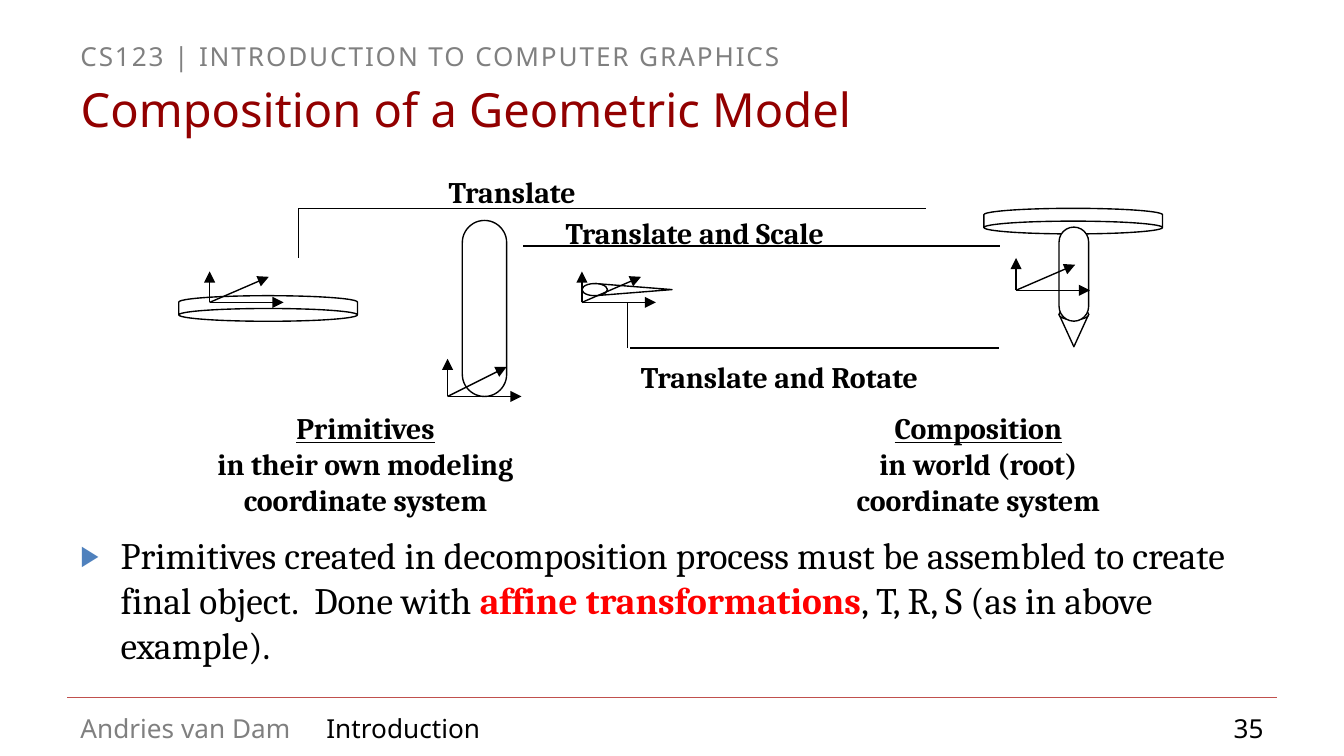
from lxml import etree
from pptx import Presentation
from pptx.dml.color import RGBColor
from pptx.enum import shapes as kinds, text as txt
from pptx.oxml import parse_xml
from pptx.oxml.ns import nsdecls, qn
from pptx.util import Inches, Pt

BLACK = RGBColor(0, 0, 0)
WHITE = RGBColor(255, 255, 255)
GRAY = RGBColor(0x80, 0x80, 0x80)
MAROON = RGBColor(0x92, 0, 0)
RED = RGBColor(255, 0, 0)
ROSE = RGBColor(0xC0, 0x50, 0x4D)
SANS, SERIF = "Noto Sans", "Cambria"
LEFT, CENTER, RIGHT = txt.PP_ALIGN.LEFT, txt.PP_ALIGN.CENTER, txt.PP_ALIGN.RIGHT
KIND = kinds.MSO_SHAPE

deck = Presentation()
deck.slide_width = Inches(10)
deck.slide_height = Inches(10 * 9 / 16)
slide = deck.slides.add_slide(deck.slide_layouts[5])
items = slide.shapes


def draw_line(start, end, color=BLACK, arrow=False):
    line = items.add_connector(kinds.MSO_CONNECTOR.STRAIGHT,
                               *[Inches(v) for v in (*start, *end)])
    line.line.color.rgb = color
    line.line.width = Pt(0.75)
    if arrow:
        etree.SubElement(line.line._get_or_add_ln(), qn("a:tailEnd"), type="triangle")
    etree.SubElement(line._element.spPr, qn("a:effectLst"))


def add_run(para, words, size, name, color=BLACK, bold=False):
    run = para.add_run()
    run.text = words
    font = run.font
    font.size, font.name, font.bold = Pt(size), name, bold
    font.color.rgb = color
    return run


# Title
title = items.title
title.left, title.top, title.width, title.height = map(Inches, (0.5, 0.56, 9, 0.5))
frame = title.text_frame
frame.vertical_anchor = txt.MSO_ANCHOR.MIDDLE
frame.auto_size = txt.MSO_AUTO_SIZE.NONE
frame.paragraphs[0].alignment = LEFT
add_run(frame.paragraphs[0], "Composition of a Geometric Model", 25.2, SANS, MAROON)

# Header and footer
draw_line((0.5, 5.19), (9.5, 5.19), ROSE)
for words, left, top, width, color, align in (
    ("CS123 | INTRODUCTION TO COMPUTER GRAPHICS", 0.5, 0.25, 9, GRAY, LEFT),
    ("Andries van Dam", 0.5, 5.25, 1.92, GRAY, LEFT),
    ("Introduction", 2.33, 5.25, 5.75, BLACK, LEFT),
    ("35", 8.17, 5.25, 1.33, BLACK, RIGHT),
):
    box = items.add_textbox(Inches(left), Inches(top), Inches(width), Inches(0.25))
    box.text_frame.word_wrap = True
    para = box.text_frame.paragraphs[0]
    para.alignment = align
    run = add_run(para, words, 14, SANS, color)
    if top < 1:
        run.font._element.set("spc", "100")

# Paths from the primitives to the composed model
for start, end in (
    ((7.43, 2.59), (4.69, 2.59)),
    ((4.67, 2.59), (4.67, 2.25)),
    ((7.44, 1.83), (3.89, 1.83)),
    ((6.89, 1.55), (2.22, 1.55)),
    ((2.22, 1.92), (2.22, 1.55)),
):
    draw_line(start, end)

# Solids, back to front
for kind, left, top, width, height, turn in (
    (KIND.ISOSCELES_TRIANGLE, 4.67, 1.87, 0.09, 0.57, 90),
    (KIND.OVAL, 4.38, 2.06, 0.09, 0.19, 270),
    (KIND.ISOSCELES_TRIANGLE, 7.88, 2.34, 0.22, 0.24, 180),
    (KIND.OVAL, 7.88, 2.3, 0.22, 0.08, 0),
    (KIND.CAN, 7.32, 1.55, 1.33, 0.19, 180),
    (KIND.ROUNDED_RECTANGLE, 7.88, 1.69, 0.22, 0.7, 0),
    (KIND.CAN, 1.33, 2.2, 1.33, 0.19, 180),
    (KIND.ROUNDED_RECTANGLE, 3.44, 1.64, 0.33, 1.31, 0),
):
    solid = items.add_shape(kind, *map(Inches, (left, top, width, height)))
    solid.rotation = turn
    solid.shadow.inherit = False
    solid.fill.solid()
    solid.fill.fore_color.rgb = WHITE
    solid.line.color.rgb = BLACK
    solid.line.width = Pt(0.75)
    if kind != KIND.OVAL:
        solid.adjustments[0] = 0.5

# Coordinate axes: origin, height of the up axis, rise of the slanted axis
for x, y, up, rise in (
    (4.33, 2.25, 0.23, 0.19),
    (7.56, 2.16, 0.24, 0.19),
    (1.56, 2.25, 0.23, 0.19),
    (3.33, 2.95, 0.28, 0.22),
):
    for dx, dy in ((0, up), (0.44, rise), (0.55, 0)):
        draw_line((x, y), (x + dx, y - dy), arrow=True)

# Path labels
for words, left, top, width in (
    ("Translate", 3.24, 1.24, 1.18),
    ("Translate and Scale", 4.11, 1.55, 2.2),
    ("Translate and Rotate", 4.67, 2.62, 2.35),
):
    box = items.add_textbox(Inches(left), Inches(top), Inches(width), Inches(0.37))
    box.text_frame.word_wrap = False
    add_run(box.text_frame.paragraphs[0], words, 16, SERIF, bold=True)

# Captions
for left, width, lines in (
    (1.22, 3, ("Primitives", "in their own modeling", "coordinate system")),
    (6, 2.56, ("Composition", "in world (root)", "coordinate system")),
):
    box = items.add_textbox(Inches(left), Inches(3), Inches(width), Inches(0.91))
    frame = box.text_frame
    frame.word_wrap = True
    frame.margin_left = frame.margin_right = 0
    for i, words in enumerate(lines):
        para = frame.add_paragraph() if i else frame.paragraphs[0]
        para.alignment = CENTER
        run = add_run(para, words, 16, SERIF, bold=True)
        run.font.underline = i == 0

# Bullet
box = items.add_textbox(Inches(0.5), Inches(3.91), Inches(9), Inches(1.33))
box.text_frame.word_wrap = True
para = box.text_frame.paragraphs[0]
props = para._p.get_or_add_pPr()
props.set("marL", str(Inches(0.3)))
props.set("indent", str(Inches(-0.3)))
for mark in (
    '<a:buClr {}><a:srgbClr val="4F81BD"/></a:buClr>',
    '<a:buSzPct {} val="76000"/>',
    '<a:buFont {} typeface="Noto Sans"/>',
    '<a:buChar {} char="▶"/>',
):
    props.append(parse_xml(mark.format(nsdecls("a"))))
add_run(para, "Primitives created in decomposition process must be assembled "
        "to create final object.  Done with ", 20, SERIF)
add_run(para, "affine transformations", 20, SERIF, RED, True)
add_run(para, ", T, R, S (as in above example).", 20, SERIF)

deck.save("out.pptx")
